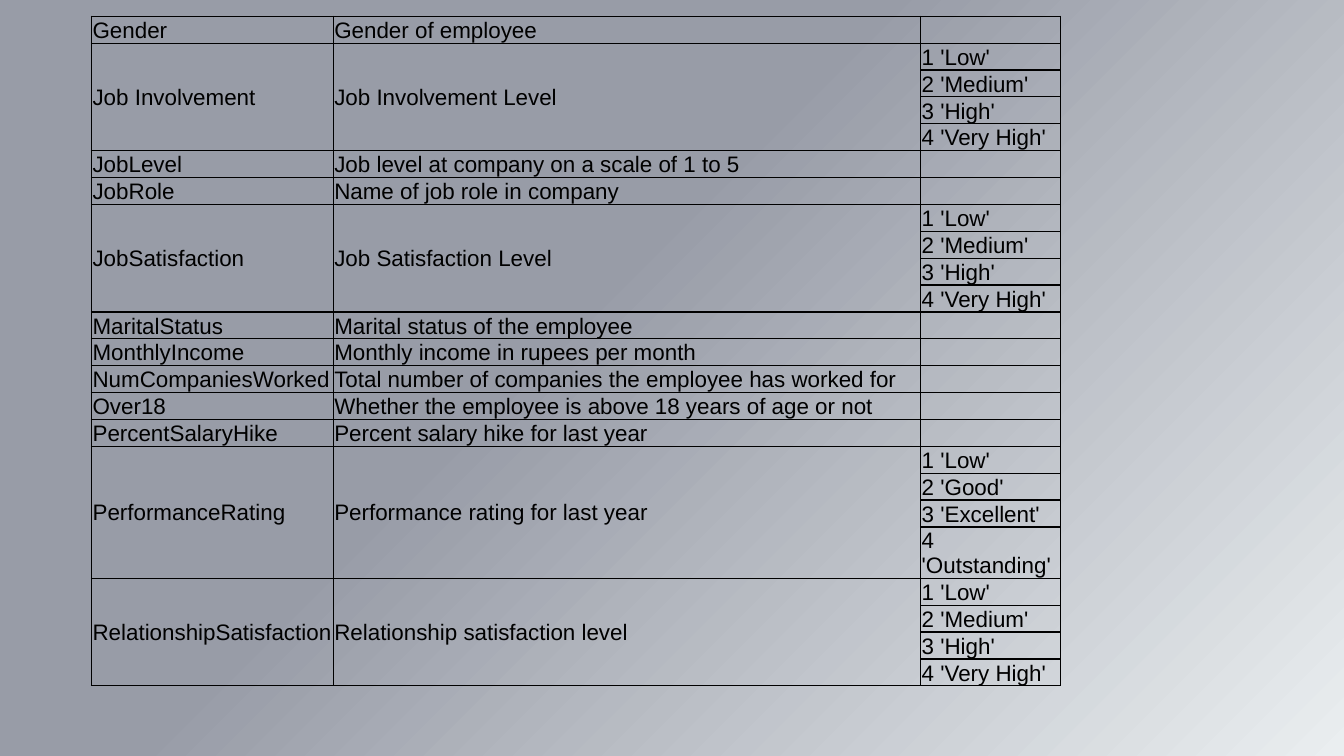
from dataclasses import dataclass

from lxml import etree
from pptx import Presentation
from pptx.dml.color import RGBColor
from pptx.enum import text
from pptx.oxml import ns
from pptx.util import Pt


@dataclass(frozen=True)
class Theme:
    """Colours, font and sizes of the slide."""
    ink: str = "000000"
    stops: tuple = ((0, "EAEEF0"), (58, "989CA7"), (100, "989CA7"))
    font: str = "Arial"
    size: float = 12
    border: float = 0.75


THEME = Theme()
LEVELS = ("1 'Low'", "2 'Medium'", "3 'High'", "4 'Very High'")
RATINGS = ("1 'Low'", "2 'Good'", "3 'Excellent'", "4 'Outstanding'")
NO_CODES = ("",)
FIELDS = (
    ("Gender", "Gender of employee", NO_CODES),
    ("Job Involvement", "Job Involvement Level", LEVELS),
    ("JobLevel", "Job level at company on a scale of 1 to 5", NO_CODES),
    ("JobRole", "Name of job role in company", NO_CODES),
    ("JobSatisfaction", "Job Satisfaction Level", LEVELS),
    ("MaritalStatus", "Marital status of the employee", NO_CODES),
    ("MonthlyIncome", "Monthly income in rupees per month", NO_CODES),
    ("NumCompaniesWorked", "Total number of companies the employee has worked for", NO_CODES),
    ("Over18", "Whether the employee is above 18 years of age or not", NO_CODES),
    ("PercentSalaryHike", "Percent salary hike for last year", NO_CODES),
    ("PerformanceRating", "Performance rating for last year", RATINGS),
    ("RelationshipSatisfaction", "Relationship satisfaction level", LEVELS),
)
COLUMNS = (129.5, 314.7, 75)
ROW_HEIGHT = 14.42


def add_xml(parent, tag, **attrs):
    """Append a DrawingML element and return it."""
    return etree.SubElement(parent, ns.qn(f"a:{tag}"), {k: str(v) for k, v in attrs.items()})


def paint_background(s):
    """Fill the slide with a gradient spreading from the bottom right corner."""
    s.background.fill.gradient()
    grad = s.element.find(f".//{ns.qn('a:gradFill')}")
    for child in list(grad):
        grad.remove(child)
    stops = add_xml(grad, "gsLst")
    for position, colour in THEME.stops:
        add_xml(add_xml(stops, "gs", pos=position * 1000), "srgbClr", val=colour)
    circle = add_xml(grad, "path", path="circle")
    add_xml(circle, "fillToRect", l=100000, t=100000)


def style_cell(cell):
    """Give a cell its borders, margins, font and clear fill."""
    tc_pr = cell._tc.get_or_add_tcPr()
    for side in ("lnL", "lnR", "lnT", "lnB"):
        line = add_xml(tc_pr, side, w=Pt(THEME.border))
        add_xml(add_xml(line, "solidFill"), "srgbClr", val=THEME.ink)
    cell.fill.background()
    cell.margin_left = cell.margin_top = Pt(0.6)
    cell.margin_right = cell.margin_bottom = 0
    cell.vertical_anchor = text.MSO_ANCHOR.MIDDLE if cell.is_merge_origin else text.MSO_ANCHOR.BOTTOM
    p = cell.text_frame.paragraphs[0]
    p.font.name = THEME.font
    p.font.size = Pt(THEME.size)
    p.font.color.rgb = RGBColor.from_string(THEME.ink)
    if not p.runs:
        add_xml(p._p, "endParaRPr", sz=int(THEME.size * 100))


def add_dictionary(s, left, top):
    """Place the data dictionary, one merged group of rows for each field."""
    rows = sum(len(codes) for _, _, codes in FIELDS)
    table = s.shapes.add_table(rows, len(COLUMNS), Pt(left), Pt(top),
                               Pt(sum(COLUMNS)), Pt(rows * ROW_HEIGHT)).table
    table.first_row = table.horz_banding = False
    for column, width in zip(table.columns, COLUMNS):
        column.width = Pt(width)
    for row in table.rows:
        row.height = Pt(ROW_HEIGHT)
    first = 0
    for name, meaning, codes in FIELDS:
        last = first + len(codes) - 1
        for col, label in enumerate((name, meaning)):
            table.cell(first, col).text = label
            if last > first:
                table.cell(first, col).merge(table.cell(last, col))
        for row, code in enumerate(codes, first):
            table.cell(row, 2).text = code
        first = last + 1
    for cell in table.iter_cells():
        style_cell(cell)


def main():
    """Build and save the presentation."""
    prs = Presentation()
    prs.slide_width, prs.slide_height = Pt(720), Pt(405)
    s = prs.slides.add_slide(prs.slide_layouts[6])
    paint_background(s)
    add_dictionary(s, 49, 8.7)
    prs.save("out.pptx")


if __name__ == "__main__":
    main()
